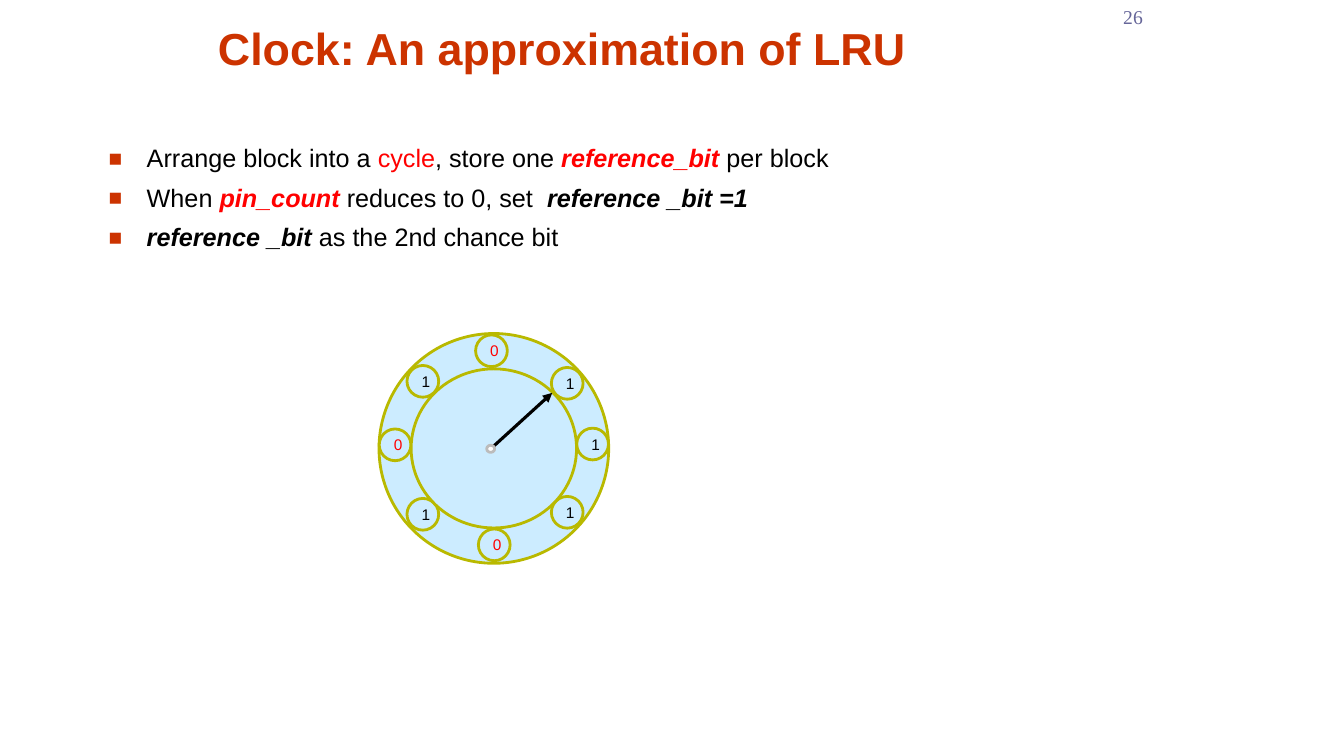
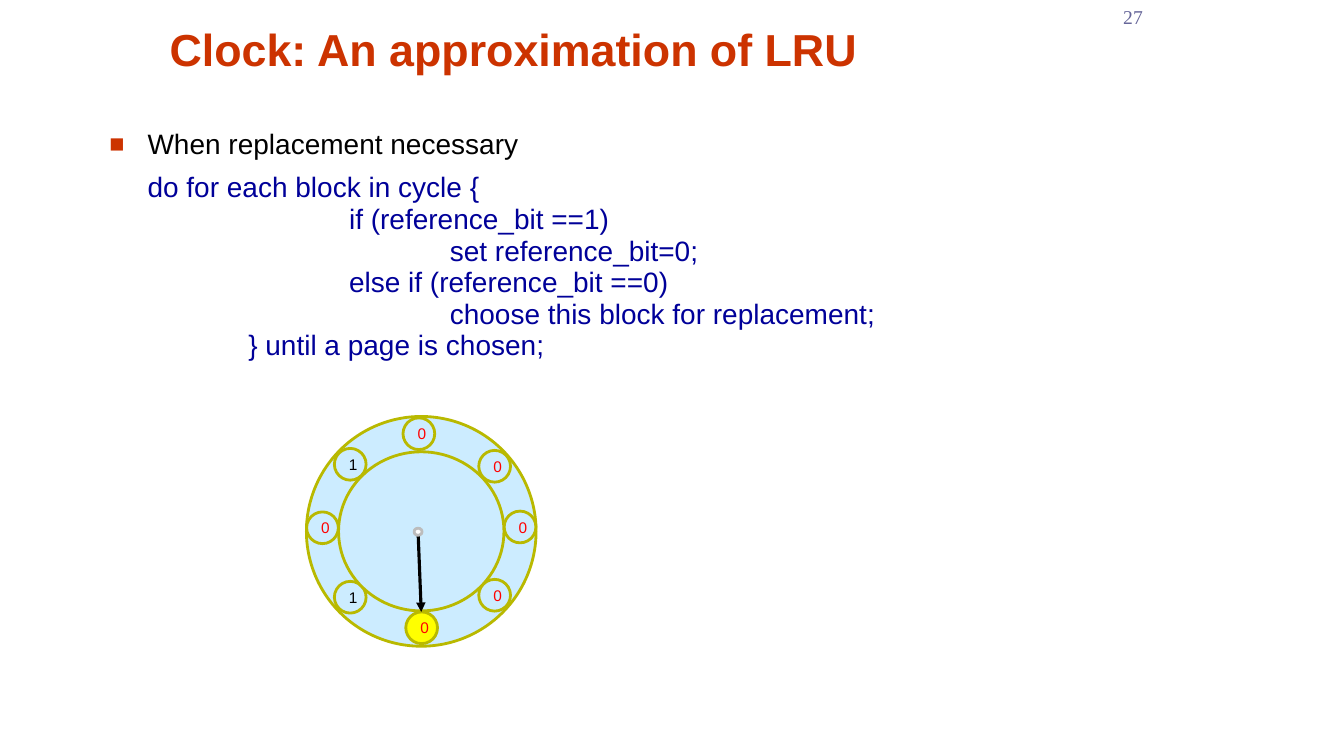
"""Build two slides that explain the clock approximation of LRU."""
from dataclasses import dataclass

from lxml.etree import SubElement
from pptx import Presentation
from pptx.dml.color import RGBColor
from pptx.enum.shapes import MSO_CONNECTOR, MSO_SHAPE
from pptx.enum.text import MSO_ANCHOR, MSO_AUTO_SIZE, PP_ALIGN
from pptx.oxml.ns import qn
from pptx.shapes.autoshape import Shape
from pptx.slide import Slide
from pptx.text.text import TextFrame, _Paragraph
from pptx.util import Cm, Pt

COLOURS = {
    "title": "CC3300",
    "text": "000000",
    "accent": "FF0000",
    "code": "000099",
    "number": "666699",
    "face": "CCECFF",
    "rim": "B9B900",
    "chosen": "FFFF00",
    "hub": "FFFFFF",
    "hub_line": "BCBCBC",
}
BODY_FONT = "Arial"
NUMBER_FONT = "Times New Roman"
TITLE_TEXT = "Clock: An approximation of LRU"
TITLE_ONLY = 5
BODY_WIDTH = 22.86
BODY_LINE_SPACING = 0.94
TEXT_INDENT = 0.96
CODE_STEP = 2.54
RIM_SIZE = 5.79
DIAL_SIZE = (4.17, 4.01)
BIT_SIZE = 0.8
HUB_SIZE = (0.2, 0.18)
HUB_OFFSET = (-0.08, 0.01)
BIT_OFFSETS = (
    (-0.06, -2.46), (1.85, -1.64), (2.49, -0.11), (1.85, 1.61),
    (0.01, 2.43), (-1.79, 1.66), (-2.49, -0.09), (-1.79, -1.69),
)


@dataclass(frozen=True)
class Run:
    text: str
    colour: str = "text"
    strong: bool = False


@dataclass(frozen=True)
class CodeLine:
    level: int
    text: str


@dataclass(frozen=True)
class Clock:
    centre_x: float
    centre_y: float
    bits: str
    hand_x: float
    hand_y: float
    chosen: int | None = None


REFERENCE_POINTS = (
    (Run("Arrange block into a "), Run("cycle", "accent"), Run(", store one "),
     Run("reference_bit ", "accent", True), Run("per block")),
    (Run("When "), Run("pin_count ", "accent", True),
     Run("reduces to 0, set  "), Run("reference _bit =1", strong=True)),
    (Run("reference _bit ", strong=True), Run("as the 2nd chance bit")),
)
REPLACEMENT_CODE = (
    CodeLine(0, "do for each block in cycle {"),
    CodeLine(2, "if (reference_bit ==1)"),
    CodeLine(3, "set reference_bit=0;"),
    CodeLine(2, "else if (reference_bit ==0)"),
    CodeLine(3, "choose this block for replacement;"),
    CodeLine(1, "} until a page is chosen;"),
)
REFERENCE_CLOCK = Clock(12.45, 11.3, "01110101", 1.47, -1.4)
REPLACEMENT_CLOCK = Clock(10.62, 13.39, "00000101", 0, 2.03, chosen=4)


def colour_of(name: str) -> RGBColor:
    return RGBColor.from_string(COLOURS[name])


def write(paragraph: _Paragraph, text: str, *, size: float, colour: str = "text",
          font: str = BODY_FONT, bold: bool = False, italic: bool = False) -> None:
    run = paragraph.add_run()
    run.text = text
    run.font.name = font
    run.font.size = Pt(size)
    run.font.bold = bold
    run.font.italic = italic
    run.font.color.rgb = colour_of(colour)


def add_frame(slide: Slide, left: float, top: float, width: float, height: float) -> TextFrame:
    frame = slide.shapes.add_textbox(Cm(left), Cm(top), Cm(width), Cm(height)).text_frame
    frame.word_wrap = True
    return frame


def next_paragraph(frame: TextFrame) -> _Paragraph:
    first = frame.paragraphs[0]
    return frame.add_paragraph() if first.runs else first


def add_bullet(frame: TextFrame, runs: tuple[Run, ...], size: float, space: float) -> None:
    paragraph = next_paragraph(frame)
    paragraph.line_spacing = BODY_LINE_SPACING
    paragraph.space_before = Pt(space)
    properties = paragraph._p.get_or_add_pPr()
    properties.set("marL", str(Cm(TEXT_INDENT)))
    properties.set("indent", str(-Cm(TEXT_INDENT)))
    bullet_colour = SubElement(properties, qn("a:buClr"))
    SubElement(bullet_colour, qn("a:srgbClr"), val=COLOURS["title"])
    SubElement(properties, qn("a:buSzPct"), val="90000")
    SubElement(properties, qn("a:buFont"), typeface=BODY_FONT)
    SubElement(properties, qn("a:buChar"), char="■")
    for run in runs:
        write(paragraph, run.text, size=size, colour=run.colour,
              bold=run.strong, italic=run.strong)


def add_code(frame: TextFrame, lines: tuple[CodeLine, ...], size: float, space: float) -> None:
    for index, line in enumerate(lines):
        paragraph = next_paragraph(frame)
        paragraph.line_spacing = BODY_LINE_SPACING
        paragraph.space_before = Pt(0 if index else space)
        margin = Cm(TEXT_INDENT + line.level * CODE_STEP)
        paragraph._p.get_or_add_pPr().set("marL", str(margin))
        write(paragraph, line.text, size=size, colour="code")


def add_ellipse(slide: Slide, centre: tuple[float, float], size: tuple[float, float],
                fill: str = "face", line: str = "rim") -> Shape:
    left, top = (middle - length / 2 for middle, length in zip(centre, size))
    shape = slide.shapes.add_shape(
        MSO_SHAPE.OVAL, Cm(left), Cm(top), Cm(size[0]), Cm(size[1]))
    shape.shadow.inherit = False
    shape.fill.solid()
    shape.fill.fore_color.rgb = colour_of(fill)
    shape.line.color.rgb = colour_of(line)
    shape.line.width = Pt(2)
    return shape


def add_hand(slide: Slide, start: tuple[float, float], end: tuple[float, float]) -> None:
    hand = slide.shapes.add_connector(
        MSO_CONNECTOR.STRAIGHT, Cm(start[0]), Cm(start[1]), Cm(end[0]), Cm(end[1]))
    hand.line.color.rgb = colour_of("text")
    hand.line.width = Pt(2.25)
    SubElement(hand.line._get_or_add_ln(), qn("a:tailEnd"), type="triangle")
    SubElement(hand._element.spPr, qn("a:effectLst"))


def add_clock(slide: Slide, clock: Clock) -> None:
    def place(offset: tuple[float, float]) -> tuple[float, float]:
        return clock.centre_x + offset[0], clock.centre_y + offset[1]

    add_ellipse(slide, place((0, 0)), (RIM_SIZE, RIM_SIZE))
    for index, (bit, offset) in enumerate(zip(clock.bits, BIT_OFFSETS)):
        fill = "chosen" if index == clock.chosen else "face"
        shape = add_ellipse(slide, place(offset), (BIT_SIZE, BIT_SIZE), fill)
        frame = shape.text_frame
        frame.word_wrap = True
        frame.vertical_anchor = MSO_ANCHOR.MIDDLE
        frame.paragraphs[0].alignment = PP_ALIGN.CENTER
        write(frame.paragraphs[0], bit, size=11, colour="accent" if bit == "0" else "text")
    add_ellipse(slide, place((0, 0)), DIAL_SIZE)
    add_hand(slide, place(HUB_OFFSET), place((clock.hand_x, clock.hand_y)))
    add_ellipse(slide, place(HUB_OFFSET), HUB_SIZE, "hub", "hub_line")


def add_titled_slide(presentation, number: int, title_width: float,
                     title_spacing: float) -> Slide:
    slide = presentation.slides.add_slide(presentation.slide_layouts[TITLE_ONLY])
    title = slide.shapes.title
    title.left, title.top, title.width, title.height = (
        Cm(2.84), Cm(0.33), Cm(title_width), Cm(1.7))
    frame = title.text_frame
    frame.auto_size = MSO_AUTO_SIZE.NONE
    frame.vertical_anchor = MSO_ANCHOR.BOTTOM
    paragraph = frame.paragraphs[0]
    paragraph.alignment = PP_ALIGN.CENTER
    paragraph.line_spacing = title_spacing
    write(paragraph, TITLE_TEXT, size=32, colour="title", bold=True)

    paragraph = add_frame(slide, 26.95, 0, 2.11, 1.02).paragraphs[0]
    paragraph.alignment = PP_ALIGN.RIGHT
    write(paragraph, str(number), size=14, colour="number", font=NUMBER_FONT)
    return slide


def build_reference_slide(presentation) -> None:
    slide = add_titled_slide(presentation, 26, 22.66, 0.9)
    frame = add_frame(slide, 2.49, 3.53, BODY_WIDTH, 3.76)
    for runs in REFERENCE_POINTS:
        add_bullet(frame, runs, size=18, space=7.9)
    add_clock(slide, REFERENCE_CLOCK)


def build_replacement_slide(presentation) -> None:
    slide = add_titled_slide(presentation, 27, 20.22, 1.0)
    frame = add_frame(slide, 2.51, 3.12, BODY_WIDTH, 12.88)
    add_bullet(frame, (Run("When replacement necessary"),), size=20, space=8.8)
    add_code(frame, REPLACEMENT_CODE, size=20, space=8.8)
    add_clock(slide, REPLACEMENT_CLOCK)


def main() -> None:
    presentation = Presentation()
    presentation.slide_width = Cm(33.88)
    presentation.slide_height = Cm(19.05)
    build_reference_slide(presentation)
    build_replacement_slide(presentation)
    presentation.save("out.pptx")


if __name__ == "__main__":
    main()
